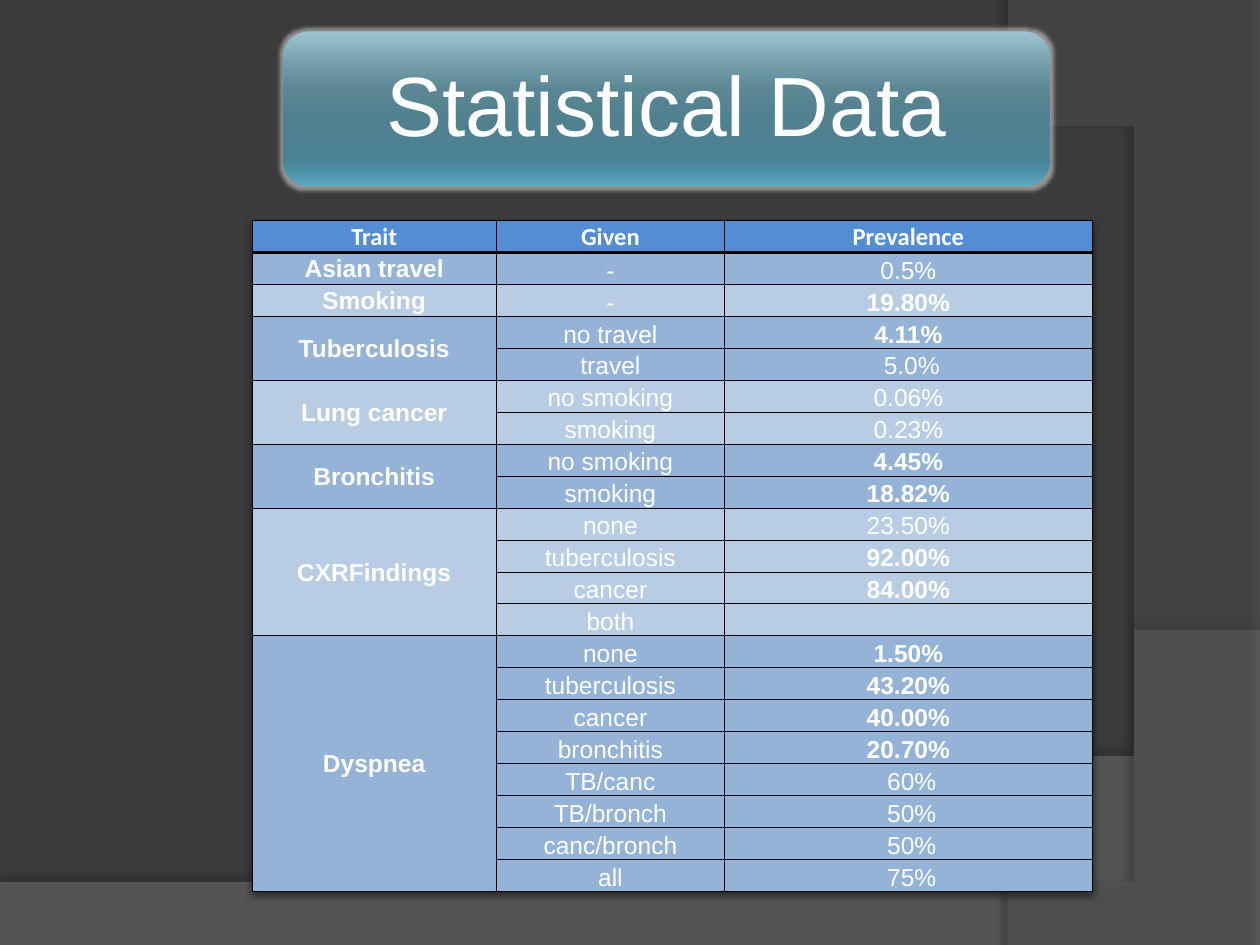
from dataclasses import dataclass

from lxml import etree
from pptx import Presentation
from pptx import util as u
from pptx.dml.color import RGBColor
from pptx.enum import shapes, text
from pptx.oxml import ns


@dataclass(frozen=True)
class Theme:
    background: str = "3B3B3B"
    floor: str = "7F7F7F"
    arc: str = "5E5E5E"
    ink: str = "FFFFFF"
    line: str = "000000"
    header: str = "538ED5"
    bands: tuple = ("95B3D7", "B8CCE4")
    banner: tuple = ((0, "9EC4D2"), (25, "6C97A5"), (38, "5B8694"), (55, "51808F"),
                     (80, "4A8294"), (88, "4A8BA0"), (100, "5DAAC2"))
    font: str = "Arial"
    header_font: str = "Calibri"
    title_size: int = 48
    table_size: int = 14


HEADINGS = ("Trait", "Given", "Prevalence")
# Each trait has rows of (given, prevalence, prevalence is bold).
TRAITS = (
    ("Asian travel", (("-", "0.5%", False),)),
    ("Smoking", (("-", "19.80%", True),)),
    ("Tuberculosis", (("no travel", "4.11%", True), ("travel", " 5.0%", False))),
    ("Lung cancer", (("no smoking", "0.06%", False), ("smoking", "0.23%", False))),
    ("Bronchitis", (("no smoking", "4.45%", True), ("smoking", "18.82%", True))),
    ("CXRFindings", (("none", "23.50%", False), ("tuberculosis", "92.00%", True),
                     ("cancer", "84.00%", True), ("both", "", False))),
    ("Dyspnea", (("none", "1.50%", True), ("tuberculosis", "43.20%", True),
                 ("cancer", "40.00%", True), ("bronchitis", "20.70%", True),
                 ("TB/canc", " 60%", False), ("TB/bronch", " 50%", False),
                 ("canc/bronch", " 50%", False), ("all", " 75%", False))),
)


def add_xml(parent, tag, **attributes):
    values = {name: str(value) for name, value in attributes.items()}
    return etree.SubElement(parent, ns.qn(f"a:{tag}"), values)


def add_color(parent, color, opacity=100):
    element = add_xml(parent, "srgbClr", val=color)
    if opacity < 100:
        add_xml(element, "alpha", val=opacity * 1000)


def add_shadow(parent, opacity, blur, distance, angle):
    effects = add_xml(parent, "effectLst")
    shadow = add_xml(effects, "outerShdw", blurRad=u.Pt(blur), dist=u.Pt(distance),
                     dir=angle * 60000, algn="ctr", rotWithShape=0)
    add_color(shadow, Theme.line, opacity)
    return effects


def write_text(frame, content, *, font, size, color, bold=False):
    paragraph = frame.paragraphs[0]
    paragraph.alignment = text.PP_ALIGN.CENTER
    if not content:  # the end mark keeps an empty cell at the row's type size
        add_xml(paragraph._p, "endParaRPr", sz=size * 100)
        return paragraph
    run = paragraph.add_run()
    run.text = content
    run.font.name = font
    run.font.size = u.Pt(size)
    run.font.bold = bold
    run.font.color.rgb = RGBColor.from_string(color)
    return paragraph


def curve_points(start, first, second, end, steps=60):
    """Sample a cubic Bezier curve, without its start point."""
    for step in range(1, steps + 1):
        t = step / steps
        weights = ((1 - t) ** 3, 3 * t * (1 - t) ** 2, 3 * t * t * (1 - t), t ** 3)
        yield tuple(sum(weight * point[axis] for weight, point
                        in zip(weights, (start, first, second, end))) for axis in (0, 1))


class SlideBuilder:
    def __init__(self, presentation, theme):
        self.theme = theme
        self.slide = presentation.slides.add_slide(presentation.slide_layouts[5])
        fill = self.slide.background.fill
        fill.solid()
        fill.fore_color.rgb = RGBColor.from_string(theme.background)

    def add_backdrop(self, corners, curve, color, opacity, shadow):
        """Draw a translucent area whose corners lead into a Bezier curve."""
        builder = self.slide.shapes.build_freeform(*corners[0], scale=u.Inches(1))
        builder.add_line_segments([*corners[1:], *curve_points(corners[-1], *curve)])
        shape = builder.convert_to_shape()
        shape.fill.solid()
        shape.fill.fore_color.rgb = RGBColor.from_string(color)
        fill_color = shape.element.spPr.find(f".//{ns.qn('a:srgbClr')}")
        add_xml(fill_color, "alpha", val=opacity * 1000)
        shape.line.fill.background()
        add_shadow(shape.element.spPr, *shadow)

    def add_banner(self, content, left, top, width, height):
        box = [u.Inches(value) for value in (left, top, width, height)]
        banner = self.slide.shapes.add_shape(shapes.MSO_SHAPE.ROUNDED_RECTANGLE, *box)
        properties = banner.element.spPr
        gradient = add_xml(properties, "gradFill", rotWithShape=1)
        stops = add_xml(gradient, "gsLst")
        for position, color in self.theme.banner:
            add_color(add_xml(stops, "gs", pos=position * 1000), color)
        add_xml(gradient, "lin", ang=90 * 60000, scaled=0)
        banner.line.fill.background()
        glow = add_xml(add_xml(properties, "effectLst"), "glow", rad=u.Pt(5))
        add_color(glow, self.theme.ink, 45)

        title = self.slide.shapes.title
        title.left, title.top, title.width, title.height = box
        banner.element.addnext(title.element)
        frame = title.text_frame
        frame.auto_size = text.MSO_AUTO_SIZE.NONE
        frame.word_wrap = True
        frame.vertical_anchor = text.MSO_ANCHOR.MIDDLE
        frame.margin_left = frame.margin_right = u.Inches(0.2)
        frame.margin_top = frame.margin_bottom = u.Inches(0.2)
        paragraph = write_text(frame, content, font=self.theme.font,
                               size=self.theme.title_size, color=self.theme.ink)
        paragraph.line_spacing = 0.9

    def format_cell(self, cell, content, fill, *, font=Theme.font, bold=False,
                    anchor=text.MSO_ANCHOR.BOTTOM, top=0.5, bottom=0.5):
        """Fill and write a cell; top and bottom are border widths in points."""
        cell.margin_left = cell.margin_right = cell.margin_top = u.Inches(0.01)
        cell.margin_bottom = 0
        cell.vertical_anchor = anchor
        properties = cell._tc.get_or_add_tcPr()
        for side, width in (("L", 0.5), ("R", 0.5), ("T", top), ("B", bottom)):
            border = add_xml(properties, f"ln{side}", w=u.Pt(width))
            add_color(add_xml(border, "solidFill"), self.theme.line)
        cell.fill.solid()
        cell.fill.fore_color.rgb = RGBColor.from_string(fill)
        write_text(cell.text_frame, content, font=font, bold=bold,
                   size=self.theme.table_size, color=self.theme.ink)

    def add_trait_table(self, left, top, widths, row_height):
        row_count = 1 + sum(len(rows) for _, rows in TRAITS)
        frame = self.slide.shapes.add_table(
            row_count, len(widths), u.Inches(left), u.Inches(top),
            u.Inches(sum(widths)), u.Inches(row_height * row_count))
        table = frame.table
        table.first_row = table.horz_banding = False
        properties = table._tbl.tblPr
        properties.insert(0, add_shadow(properties, 50, 4, 2, 90))
        for column, width in zip(table.columns, widths):
            column.width = u.Inches(width)
        for row in table.rows:
            row.height = u.Inches(row_height)

        for column, heading in enumerate(HEADINGS):
            self.format_cell(table.cell(0, column), heading, self.theme.header,
                             font=self.theme.header_font, bold=True, bottom=2)
        row = 1
        for index, (trait, entries) in enumerate(TRAITS):
            fill = self.theme.bands[index % 2]
            first = row
            for given, prevalence, bold in entries:
                edge = 2 if row == 1 else 0.5
                self.format_cell(table.cell(row, 0), trait if row == first else "", fill,
                                 bold=True, anchor=text.MSO_ANCHOR.MIDDLE, top=edge)
                self.format_cell(table.cell(row, 1), given, fill, top=edge)
                self.format_cell(table.cell(row, 2), prevalence, fill, bold=bold, top=edge)
                row += 1
            if len(entries) > 1:
                table.cell(first, 0).merge(table.cell(row - 1, 0))


def main():
    presentation = Presentation()
    presentation.slide_width, presentation.slide_height = u.Inches(10), u.Inches(7.5)
    theme = Theme()
    builder = SlideBuilder(presentation, theme)
    builder.add_backdrop([(0, 7.05), (0, 7.5), (10, 7.5), (10, 5.2)],
                         [(5.59, 7.29), (3.91, 7.19), (0, 7.05)],
                         theme.floor, 45, (35, 4, 3.5, 270))
    builder.add_backdrop([(10, 0.02), (10, 7.5), (8.21, 7.5)],
                         [(9.35, 6.19), (10.18, 3), (8, 0)],
                         theme.arc, 40, (45, 4, 4, 180))
    builder.add_trait_table(2, 1.75, (1.94, 1.81, 2.92), 5.33 / 21)
    builder.add_banner("Statistical Data", 2.25, 0.25, 6.08, 1.23)
    presentation.save("out.pptx")


if __name__ == "__main__":
    main()
